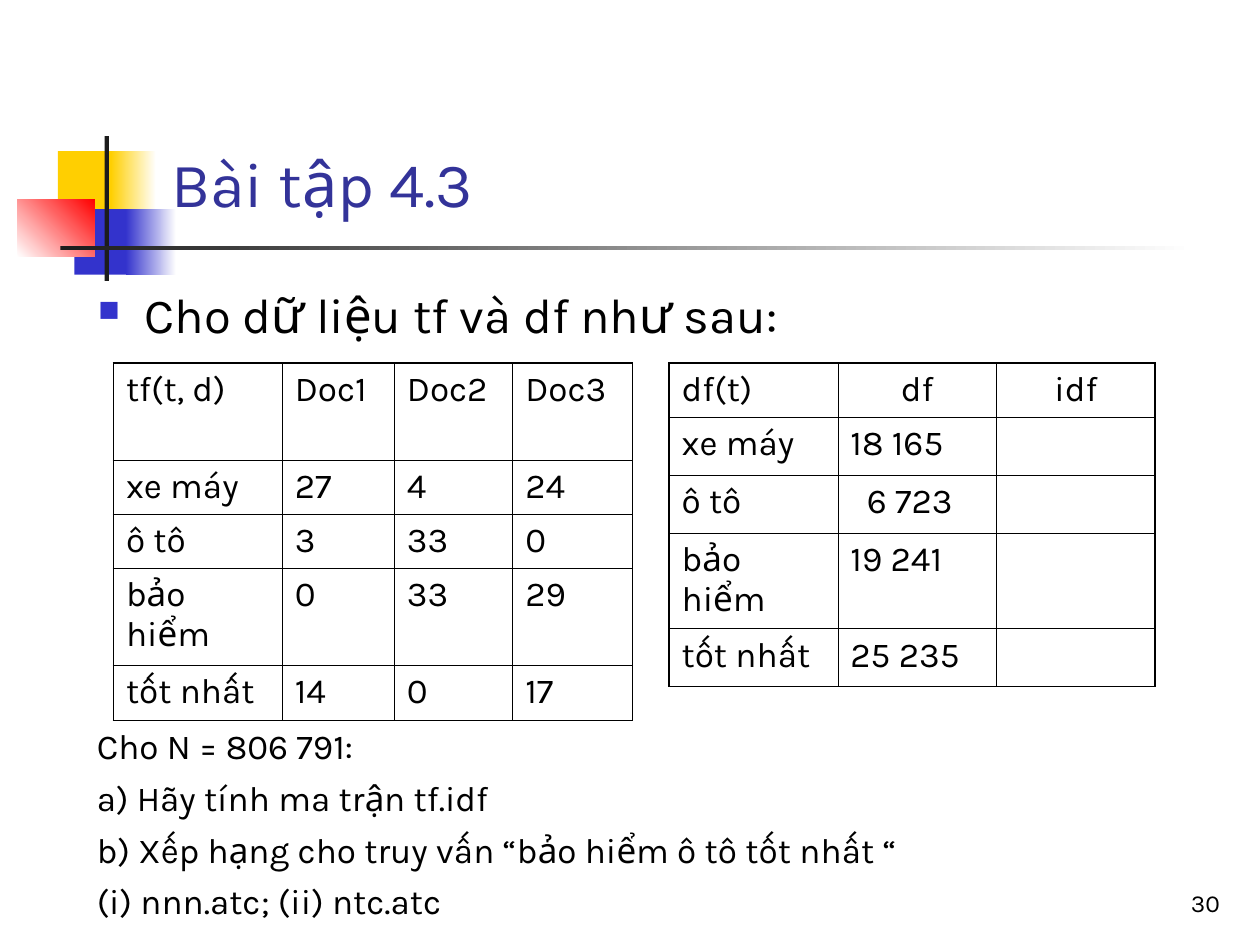
from dataclasses import dataclass

import lxml.etree
import pptx
import pptx.dml.color
import pptx.enum.shapes
import pptx.enum.text
import pptx.oxml
import pptx.oxml.ns
import pptx.util

RGBColor = pptx.dml.color.RGBColor
Align = pptx.enum.text.PP_ALIGN
Anchor = pptx.enum.text.MSO_ANCHOR

YELLOW = RGBColor(0xFF, 0xCF, 0x01)
BLUE = RGBColor(0x33, 0x33, 0xCC)
RED = RGBColor(0xFF, 0x00, 0x00)
CHARCOAL = RGBColor(0x1C, 0x1C, 0x1C)
INDIGO = RGBColor(0x33, 0x33, 0x99)
BLACK = RGBColor(0x00, 0x00, 0x00)
WHITE = RGBColor(0xFF, 0xFF, 0xFF)

FONT = "Karla"
SLIDE_WIDTH = pptx.util.Inches(10)
SLIDE_HEIGHT = pptx.util.Inches(7.5)
GRID_COLUMNS, GRID_ROWS = 100, 75
OUTER_BORDER, INNER_BORDER = 1.08, 0.45


def across(columns: float) -> int:
    return round(SLIDE_WIDTH * columns / GRID_COLUMNS)


def down(rows: float) -> int:
    return round(SLIDE_HEIGHT * rows / GRID_ROWS)


@dataclass(frozen=True)
class Box:
    """A rectangle in grid columns and rows."""
    left: float
    top: float
    width: float
    height: float

    def place(self) -> tuple[int, int, int, int]:
        return across(self.left), down(self.top), across(self.width), down(self.height)


@dataclass(frozen=True)
class Block:
    """A decorative rectangle; it fades from color to end_color when that is set."""
    box: Box
    color: RGBColor
    end_color: RGBColor | None = None
    angle: float = 0


@dataclass(frozen=True)
class TextBlock:
    box: Box
    lines: tuple[str, ...]
    size: float
    color: RGBColor = BLACK
    anchor: Anchor = Anchor.TOP
    align: Align = Align.LEFT
    space_before: float = 0
    bulleted: bool = False


@dataclass(frozen=True)
class Grid:
    left: float
    top: float
    widths: tuple[float, ...]
    heights: tuple[float, ...]
    rows: tuple[tuple[str, ...], ...]
    centred: tuple[tuple[int, int], ...] = ()
    indented: tuple[tuple[int, int], ...] = ()


BLOCKS = (
    Block(Box(4.6, 12, 4.8, 5.2), YELLOW),
    Block(Box(8.8, 12, 3.6, 5.2), YELLOW, WHITE),
    Block(Box(5.9, 16.6, 4.6, 5.2), BLUE),
    Block(Box(10, 16.6, 4, 5.2), BLUE, WHITE),
    Block(Box(1.4, 15.8, 6.1, 4.6), WHITE, RED, 45),
    Block(Box(8.3, 10.8, 0.35, 11.5), CHARCOAL),
    Block(Box(4.8, 19.5, 90, 0.35), CHARCOAL, WHITE),
)

TEXTS = (
    TextBlock(Box(12.6, 2, 85.2, 16), ("Bài tập 4.3",), 36, INDIGO, Anchor.BOTTOM),
    TextBlock(Box(6.7, 22.1, 91.2, 6.8), ("Cho dữ liệu tf và df như sau:",), 28,
              space_before=5.6, bulleted=True),
    TextBlock(Box(6.7, 57, 90.4, 16.7), (
        "Cho N = 806 791:",
        "a) Hãy tính ma trận tf.idf",
        "b) Xếp hạng cho truy vấn “bảo hiểm ô tô tốt nhất “",
        "(i) nnn.atc; (ii) ntc.atc",
    ), 20, space_before=5.6),
    TextBlock(Box(77, 68.3, 20.8, 5), ("30",), 14, anchor=Anchor.BOTTOM, align=Align.RIGHT),
)

TABLES = (
    Grid(9, 28.8, (13.4, 8.9, 9.4, 9.5), (7.7, 4.3, 4.3, 7.7, 4.4), (
        ("tf(t, d)", "Doc1", "Doc2", "Doc3"),
        ("xe máy", "27", "4", "24"),
        ("ô tô", "3", "33", "0"),
        ("bảo hiểm", "0", "33", "29"),
        ("tốt nhất", "14", "0", "17"),
    )),
    Grid(53.1, 28.8, (13.4, 12.6, 12.6), (4.3, 4.6, 4.6, 7.6, 4.6), (
        ("df(t)", "df", "idf"),
        ("xe máy", "18 165", ""),
        ("ô tô", "6 723", ""),
        ("bảo hiểm", "19 241", ""),
        ("tốt nhất", "25 235", ""),
    ), centred=((0, 1), (0, 2)), indented=((2, 1),)),
)


def add_element(parent, tag: str, **attributes: str):
    return lxml.etree.SubElement(parent, pptx.oxml.ns.qn(tag), attributes)


def draw_block(slide, block: Block) -> None:
    shape = slide.shapes.add_shape(
        pptx.enum.shapes.MSO_SHAPE.RECTANGLE, *block.box.place())
    shape.shadow.inherit = False
    shape.line.fill.background()
    if block.end_color is None:
        shape.fill.solid()
        shape.fill.fore_color.rgb = block.color
        return
    shape.fill.gradient()
    shape.fill.gradient_angle = block.angle
    for stop, color in zip(shape.fill.gradient_stops, (block.color, block.end_color)):
        stop.color.rgb = color
    first, last = shape.fill.gradient_stops
    first.position, last.position = 0, 1


def write_run(paragraph, text: str, size: float, color: RGBColor) -> None:
    run = paragraph.add_run()
    run.text = text
    run.font.name = FONT
    run.font.size = pptx.util.Pt(size)
    run.font.color.rgb = color


def add_bullet(paragraph) -> None:
    properties = paragraph._p.get_or_add_pPr()
    properties.set("marL", str(across(3.8)))
    properties.set("indent", str(-across(3.7)))
    add_element(add_element(properties, "a:buClr"), "a:srgbClr", val=str(BLUE))
    add_element(properties, "a:buSzPct", val="60000")
    add_element(properties, "a:buChar", char="■")


def draw_text(slide, block: TextBlock) -> None:
    frame = slide.shapes.add_textbox(*block.box.place()).text_frame
    frame.word_wrap = True
    frame.vertical_anchor = block.anchor
    for index, line in enumerate(block.lines):
        paragraph = frame.add_paragraph() if index else frame.paragraphs[0]
        paragraph.alignment = block.align
        paragraph.space_before = pptx.util.Pt(block.space_before)
        if block.bulleted:
            add_bullet(paragraph)
        write_run(paragraph, line, block.size, block.color)


def draw_borders(cell, outer_sides: dict[str, bool]) -> None:
    properties = cell._tc.get_or_add_tcPr()
    for side, is_outer in outer_sides.items():
        width = pptx.util.Pt(OUTER_BORDER if is_outer else INNER_BORDER)
        line = add_element(properties, f"a:ln{side}", w=str(width))
        add_element(add_element(line, "a:solidFill"), "a:srgbClr", val=str(BLACK))


def draw_table(slide, grid: Grid) -> None:
    box = Box(grid.left, grid.top, sum(grid.widths), sum(grid.heights))
    last_row, last_column = len(grid.heights) - 1, len(grid.widths) - 1
    table = slide.shapes.add_table(last_row + 1, last_column + 1, *box.place()).table
    table.first_row = table.horz_banding = False
    for column, width in zip(table.columns, grid.widths):
        column.width = across(width)
    for row, height in zip(table.rows, grid.heights):
        row.height = down(height)
    for r, texts in enumerate(grid.rows):
        for c, text in enumerate(texts):
            cell = table.cell(r, c)
            draw_borders(cell, {"L": c == 0, "R": c == last_column,
                                "T": r == 0, "B": r == last_row})
            cell.fill.background()
            if not text:
                continue
            paragraph = cell.text_frame.paragraphs[0]
            paragraph.alignment = Align.CENTER if (r, c) in grid.centred else Align.LEFT
            paragraph.line_spacing = 0.98
            paragraph.space_before = pptx.util.Pt(4)
            if (r, c) in grid.indented:
                paragraph._p.get_or_add_pPr().set("marL", str(across(1.3)))
            write_run(paragraph, text, 20, BLACK)


def main() -> None:
    presentation = pptx.Presentation()
    presentation.slide_width = SLIDE_WIDTH
    presentation.slide_height = SLIDE_HEIGHT
    slide = presentation.slides.add_slide(presentation.slide_layouts[6])
    for block in BLOCKS:
        draw_block(slide, block)
    for text in TEXTS:
        draw_text(slide, text)
    for grid in TABLES:
        draw_table(slide, grid)
    presentation.save("out.pptx")


if __name__ == "__main__":
    main()
